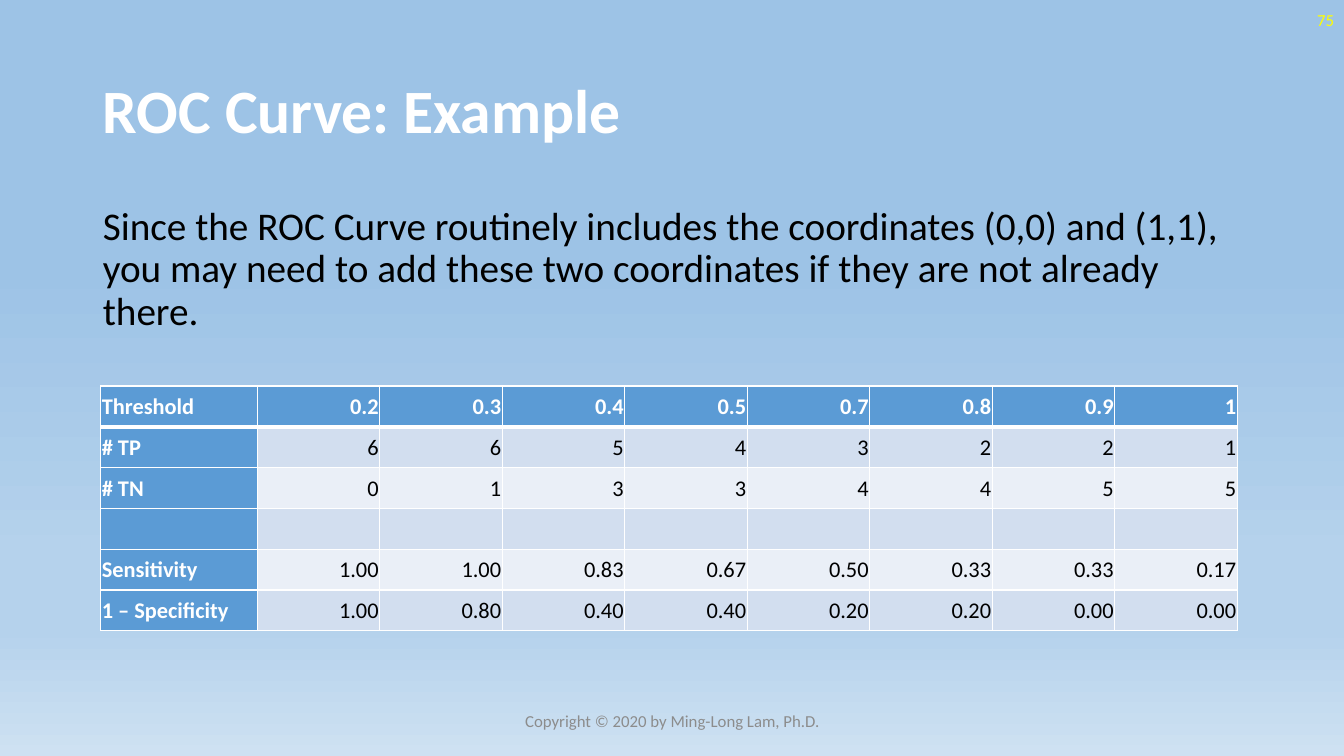
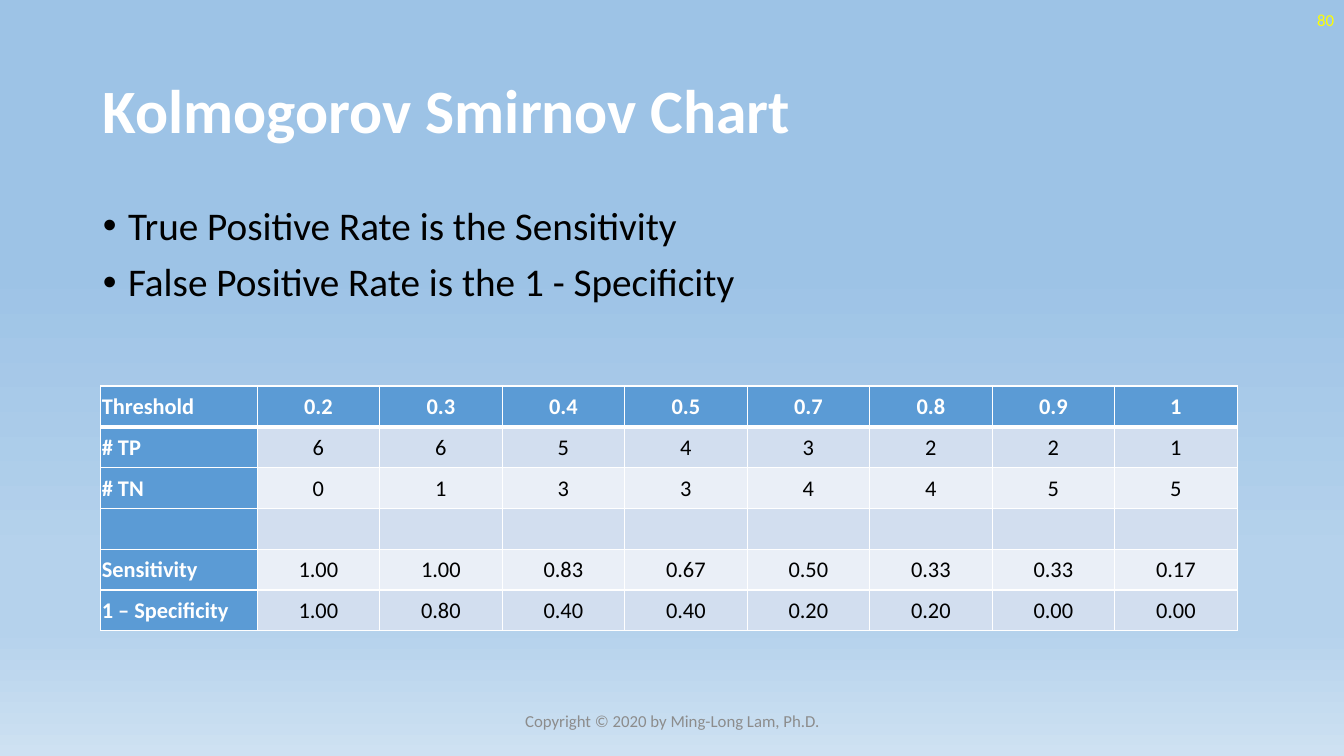
import pptx
import pptx.dml.color
import pptx.enum.text
import pptx.oxml
import pptx.oxml.ns
import pptx.util
from pptx.util import Inches

Align = pptx.enum.text.PP_ALIGN
Anchor = pptx.enum.text.MSO_ANCHOR

COLORS = {
    "white": "FFFFFF",
    "black": "000000",
    "page_number": "FFFF00",
    "footer": "8C8C8C",
    "header": "5B9BD5",
    "dark_band": "D2DEEF",
    "light_band": "EAEFF7",
    "sky": "9DC3E6",
    "haze": "B5D2EC",
    "horizon": "CEE1F2",
}
BACKGROUND_STOPS = [(35, "sky"), (74, "haze"), (83, "haze"), (100, "horizon")]
FONT = "Calibri"
FOOTER = "Copyright © 2020 by Ming-Long Lam, Ph.D."

ROC_ROWS = [
    ["Threshold", "0.2", "0.3", "0.4", "0.5", "0.7", "0.8", "0.9", "1"],
    ["# TP", "6", "6", "5", "4", "3", "2", "2", "1"],
    ["# TN", "0", "1", "3", "3", "4", "4", "5", "5"],
    [""] * 9,
    ["Sensitivity", "1.00", "1.00", "0.83", "0.67", "0.50", "0.33", "0.33", "0.17"],
    ["1 – Specificity", "1.00", "0.80", "0.40", "0.40", "0.20", "0.20", "0.00", "0.00"],
]


def rgb(color):
    return pptx.dml.color.RGBColor.from_string(COLORS[color])


def drawing_element(xml):
    """Turn a DrawingML fragment with an opening and a closing tag into an element."""
    namespace = pptx.oxml.ns.nsdecls("a")
    return pptx.oxml.parse_xml(xml.replace(">", f" {namespace}>", 1))


class Deck:
    def __init__(self):
        self.presentation = pptx.Presentation()
        self.presentation.slide_width = Inches(13.33)
        self.presentation.slide_height = Inches(7.5)
        self.slide = None
        self.paint_background()

    def paint_background(self):
        """Give the slide master the shared vertical gradient."""
        master = self.presentation.slide_master
        fill = master.background.fill
        fill.gradient()
        fill.gradient_angle = 270
        stops = master.element.xpath("./p:cSld/p:bg//a:gsLst")[0]
        for stop in list(stops):
            stops.remove(stop)
        for position, color in BACKGROUND_STOPS:
            stops.append(drawing_element(
                f'<a:gs pos="{position * 1000}">'
                f'<a:srgbClr val="{COLORS[color]}"/></a:gs>'))

    def add_slide(self, title, page_number):
        layout = self.presentation.slide_layouts[1]
        self.slide = self.presentation.slides.add_slide(layout)
        self.title(title)
        self.label(str(page_number), 10.33, 0, 3, "page_number", Align.RIGHT)
        self.label(FOOTER, 4.42, 6.95, 4.5, "footer", Align.CENTER)

    def add_text(self, paragraph, text, size, color, bold=False, align=Align.LEFT):
        paragraph.alignment = align
        run = paragraph.add_run()
        run.text = text
        run.font.name = FONT
        run.font.size = pptx.util.Pt(size)
        run.font.bold = bold
        run.font.color.rgb = rgb(color)

    def place(self, shape, left, top, width, height, anchor):
        """Position a shape and return its text frame, ready for text."""
        shape.left, shape.top = Inches(left), Inches(top)
        shape.width, shape.height = Inches(width), Inches(height)
        frame = shape.text_frame
        frame.word_wrap = True
        frame.auto_size = pptx.enum.text.MSO_AUTO_SIZE.NONE
        frame.vertical_anchor = anchor
        return frame

    def title(self, text):
        frame = self.place(self.slide.shapes.title, 0.92, 0.4, 11.5, 1.45, Anchor.MIDDLE)
        paragraph = frame.paragraphs[0]
        paragraph.line_spacing = 0.9
        self.add_text(paragraph, text, 44, "white", bold=True)

    def label(self, text, left, top, width, color, align):
        box = self.slide.shapes.add_textbox(0, 0, 0, 0)
        frame = self.place(box, left, top, width, 0.4, Anchor.MIDDLE)
        self.add_text(frame.paragraphs[0], text, 12, color, align=align)

    def body(self, lines, bulleted):
        frame = self.place(self.slide.placeholders[1], 0.92, 2, 11.5, 4.76, Anchor.TOP)
        indent = Inches(0.25) if bulleted else 0
        for index, line in enumerate(lines):
            paragraph = frame.add_paragraph() if index else frame.paragraphs[0]
            properties = paragraph._p.get_or_add_pPr()
            properties.set("marL", str(indent))
            properties.set("indent", str(-indent))
            if bulleted:
                properties.append(drawing_element('<a:buFont typeface="Arial"></a:buFont>'))
                properties.append(drawing_element('<a:buChar char="•"></a:buChar>'))
            else:
                properties.append(drawing_element("<a:buNone></a:buNone>"))
            paragraph.line_spacing = 0.9
            paragraph.space_before = pptx.util.Pt(10 if index else 0)
            self.add_text(paragraph, line, 28, "black")

    def table(self, rows, number_align):
        width, height, label_width = 11.27, 2.43, 1.55
        frame = self.slide.shapes.add_table(
            len(rows), len(rows[0]), Inches(1), Inches(3.83), Inches(width), Inches(height))
        table = frame.table
        table.first_col = True
        number_width = (width - label_width) / (len(rows[0]) - 1)
        for index, column in enumerate(table.columns):
            column.width = Inches(number_width if index else label_width)
        for row_index, values in enumerate(rows):
            table.rows[row_index].height = Inches(height / len(rows))
            for column_index, value in enumerate(values):
                self.cell(table, row_index, column_index, value, number_align)

    def cell(self, table, row, column, value, number_align):
        cell = table.cell(row, column)
        is_heading = row == 0 or column == 0
        cell.vertical_anchor = Anchor.MIDDLE
        cell.margin_left = cell.margin_right = cell.margin_top = Inches(0.01)
        cell.margin_bottom = 0
        self.borders(cell, top=3 if row == 1 else 1, bottom=3 if row == 0 else 1)
        band = "dark_band" if row % 2 else "light_band"
        cell.fill.solid()
        cell.fill.fore_color.rgb = rgb("header" if is_heading else band)
        if value:
            self.add_text(cell.text_frame.paragraphs[0], value, 16,
                          "white" if is_heading else "black", bold=is_heading,
                          align=number_align if column else Align.LEFT)

    def borders(self, cell, top, bottom):
        """Draw white cell borders; top and bottom are widths in points."""
        properties = cell._tc.get_or_add_tcPr()
        for side, points in (("L", 1), ("R", 1), ("T", top), ("B", bottom)):
            properties.append(drawing_element(
                f'<a:ln{side} w="{pptx.util.Pt(points)}"><a:solidFill>'
                f'<a:srgbClr val="{COLORS["white"]}"/></a:solidFill></a:ln{side}>'))


def main():
    deck = Deck()

    deck.add_slide("ROC Curve: Example", 75)
    deck.body(["Since the ROC Curve routinely includes the coordinates (0,0) and (1,1), "
               "you may need to add these two coordinates if they are not already there."],
              bulleted=False)
    deck.table(ROC_ROWS, Align.RIGHT)

    deck.add_slide("Kolmogorov Smirnov Chart", 80)
    deck.body(["True Positive Rate is the Sensitivity",
               "False Positive Rate is the 1 - Specificity"], bulleted=True)
    deck.table(ROC_ROWS, Align.CENTER)

    deck.presentation.save("out.pptx")


if __name__ == "__main__":
    main()
